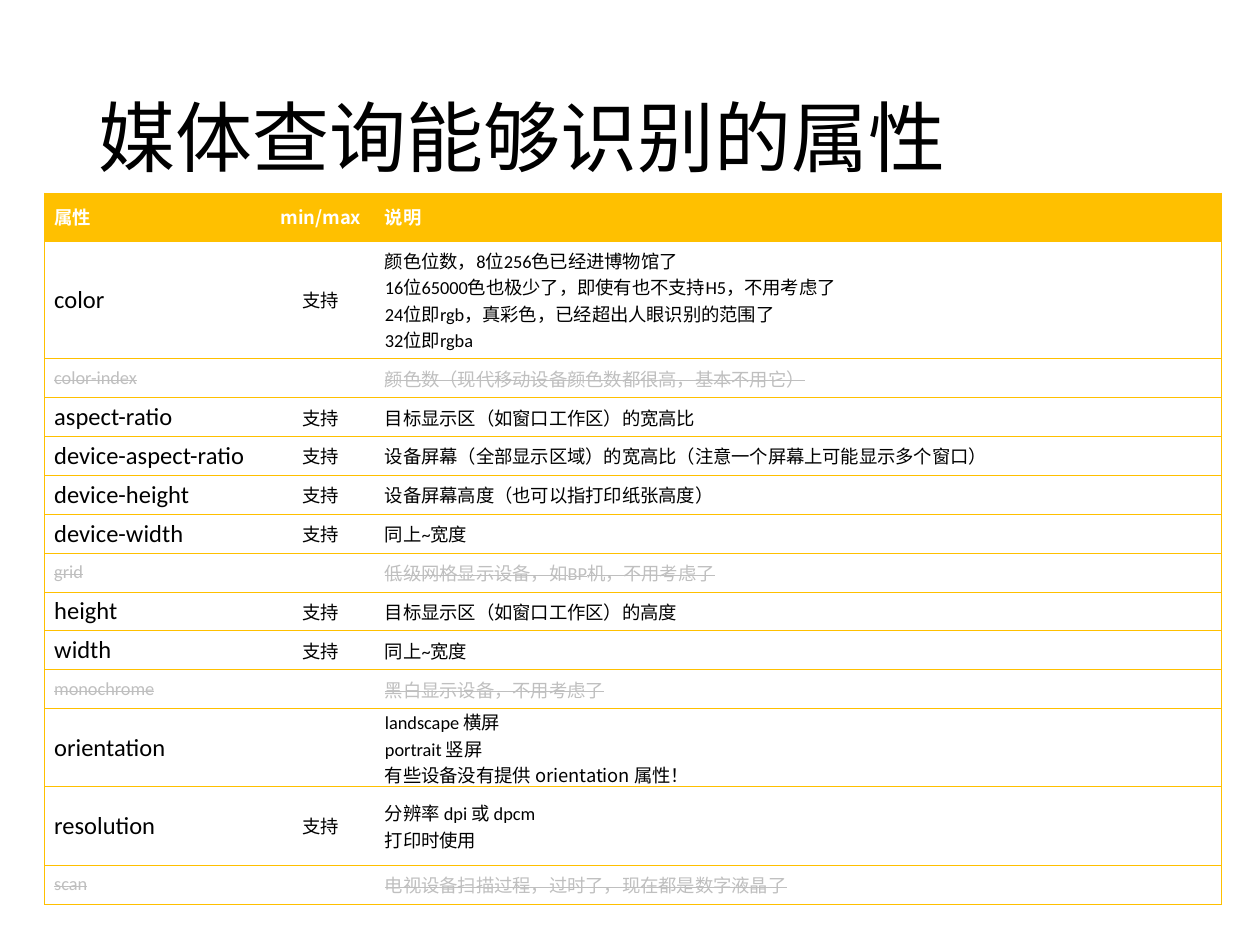
from lxml.etree import SubElement
from pptx import Presentation
from pptx.dml.color import RGBColor
from pptx.enum.text import MSO_ANCHOR, PP_ALIGN
from pptx.oxml.ns import qn
from pptx.util import Pt

COLORS = {"gold": "FFC000", "black": "000000", "white": "FFFFFF", "muted": "BFBFBF"}
LATIN, CJK = "Calibri", "Noto Sans CJK SC"
YES = "支持"
COLS = [126.6, 62.4, 483.6]
HEADER = ["属性", "min/max", "说明"]
HEADER_H, ROW_H = 27.4, 22.2
HEIGHTS = {"color": 67.4, "orientation": 44.8, "resolution": 44.8}
OUTDATED = {"color-index", "grid", "monochrome", "scan"}
ROWS = [
    ("color", YES, ["颜色位数，8位256色已经进博物馆了",
                    "16位65000色也极少了，即使有也不支持H5，不用考虑了",
                    "24位即rgb，真彩色，已经超出人眼识别的范围了",
                    "32位即rgba"]),
    ("color-index", "", ["颜色数（现代移动设备颜色数都很高，基本不用它）"]),
    ("aspect-ratio", YES, ["目标显示区（如窗口工作区）的宽高比"]),
    ("device-aspect-ratio", YES,
     ["设备屏幕（全部显示区域）的宽高比（注意一个屏幕上可能显示多个窗口）"]),
    ("device-height", YES, ["设备屏幕高度（也可以指打印纸张高度）"]),
    ("device-width", YES, ["同上~宽度"]),
    ("grid", "", ["低级网格显示设备，如BP机，不用考虑了"]),
    ("height", YES, ["目标显示区（如窗口工作区）的高度"]),
    ("width", YES, ["同上~宽度"]),
    ("monochrome", "", ["黑白显示设备，不用考虑了"]),
    ("orientation", "", ["landscape 横屏", "portrait 竖屏",
                         "有些设备没有提供 orientation 属性！"]),
    ("resolution", YES, ["分辨率 dpi 或 dpcm", "打印时使用"]),
    ("scan", "", ["电视设备扫描过程，过时了，现在都是数字液晶了"]),
]


def set_all(obj, formats):
    """Set every attribute in formats on obj."""
    for name, value in formats.items():
        setattr(obj, name, value)


def add_run(p, text, size, color, font=LATIN, bold=False, strike=False):
    """Add one formatted run to a paragraph."""
    r = p.add_run()
    r.text = text
    set_all(r.font, {"size": Pt(size), "name": font, "bold": bold})
    r.font.color.rgb = RGBColor.from_string(COLORS[color])
    rPr = r.font._element
    SubElement(rPr, qn("a:ea")).set("typeface", CJK)
    if strike:
        rPr.set("strike", "sngStrike")


def set_borders(cell, sides):
    """Draw gold borders on the given sides and clear the others."""
    tcPr = cell._tc.get_or_add_tcPr()
    for i, side in enumerate("LRTB"):
        ln = SubElement(tcPr, qn(f"a:ln{side}"), w=str(Pt(0.5)))
        if side in sides:
            fill = SubElement(ln, qn("a:solidFill"))
            SubElement(fill, qn("a:srgbClr"), val=COLORS["gold"])
        else:
            SubElement(ln, qn("a:noFill"))
        tcPr.insert(i, ln)


def fill_cell(cell, col, lines, formats, gold=False):
    """Write the lines of one cell and style its box."""
    set_all(cell, {"vertical_anchor": MSO_ANCHOR.MIDDLE, "margin_left": Pt(5.4),
                   "margin_right": Pt(5.4), "margin_top": 0, "margin_bottom": 0})
    if gold:
        cell.fill.solid()
        cell.fill.fore_color.rgb = RGBColor.from_string(COLORS["gold"])
    else:
        cell.fill.background()
    set_borders(cell, "TB" + ("L", "", "R")[col])
    tf = cell.text_frame
    for i, text in enumerate(lines):
        p = tf.paragraphs[0] if i == 0 else tf.add_paragraph()
        p.alignment = PP_ALIGN.CENTER if col == 1 else PP_ALIGN.JUSTIFY
        if text:
            font = CJK if col == 1 or "orientation " in text else LATIN
            add_run(p, text, font=font, **formats)


def add_title(s, x, y, w, h):
    """Place the slide title in its box."""
    tf = s.shapes.add_textbox(Pt(x), Pt(y), Pt(w), Pt(h)).text_frame
    set_all(tf, {"word_wrap": True, "vertical_anchor": MSO_ANCHOR.MIDDLE})
    p = tf.paragraphs[0]
    p.line_spacing = 0.9
    add_run(p, "媒体查询能够识别的属性", 44, "black")


def add_properties(s, x, y):
    """Place the table of media query properties."""
    heights = [HEADER_H] + [HEIGHTS.get(name, ROW_H) for name, *_ in ROWS]
    table = s.shapes.add_table(len(heights), len(COLS), Pt(x), Pt(y),
                               Pt(sum(COLS)), Pt(sum(heights))).table
    table.horz_banding = False
    for column, width in zip(table.columns, COLS):
        column.width = Pt(width)
    for row, height in zip(table.rows, heights):
        row.height = Pt(height)
    for col, text in enumerate(HEADER):
        fill_cell(table.cell(0, col), col, [text],
                  {"size": 10.5, "color": "white", "bold": True}, gold=True)
    for row, (name, support, notes) in enumerate(ROWS, 1):
        old = name in OUTDATED
        formats = {"color": "muted" if old else "black", "strike": old}
        for col, lines in enumerate(([name], [support], notes)):
            size = 14 if col == 0 and not old else 10.5
            fill_cell(table.cell(row, col), col, lines, {**formats, "size": size})


prs = Presentation()
set_all(prs, {"slide_width": Pt(720), "slide_height": Pt(540)})
s = prs.slides.add_slide(prs.slide_layouts[6])
add_title(s, 49.5, 28.8, 621, 104.4)
add_properties(s, 25.6, 110.3)
prs.save("out.pptx")
